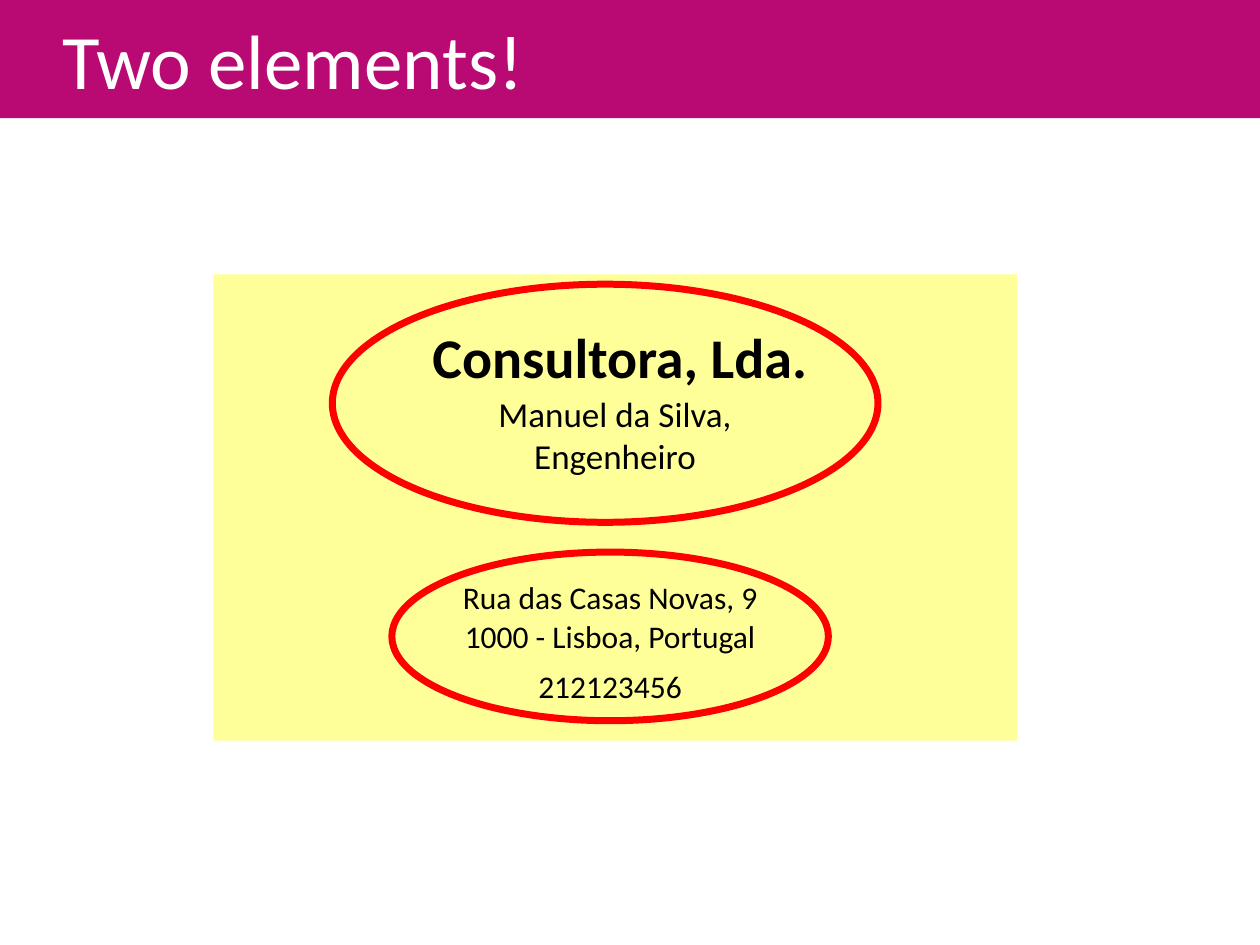
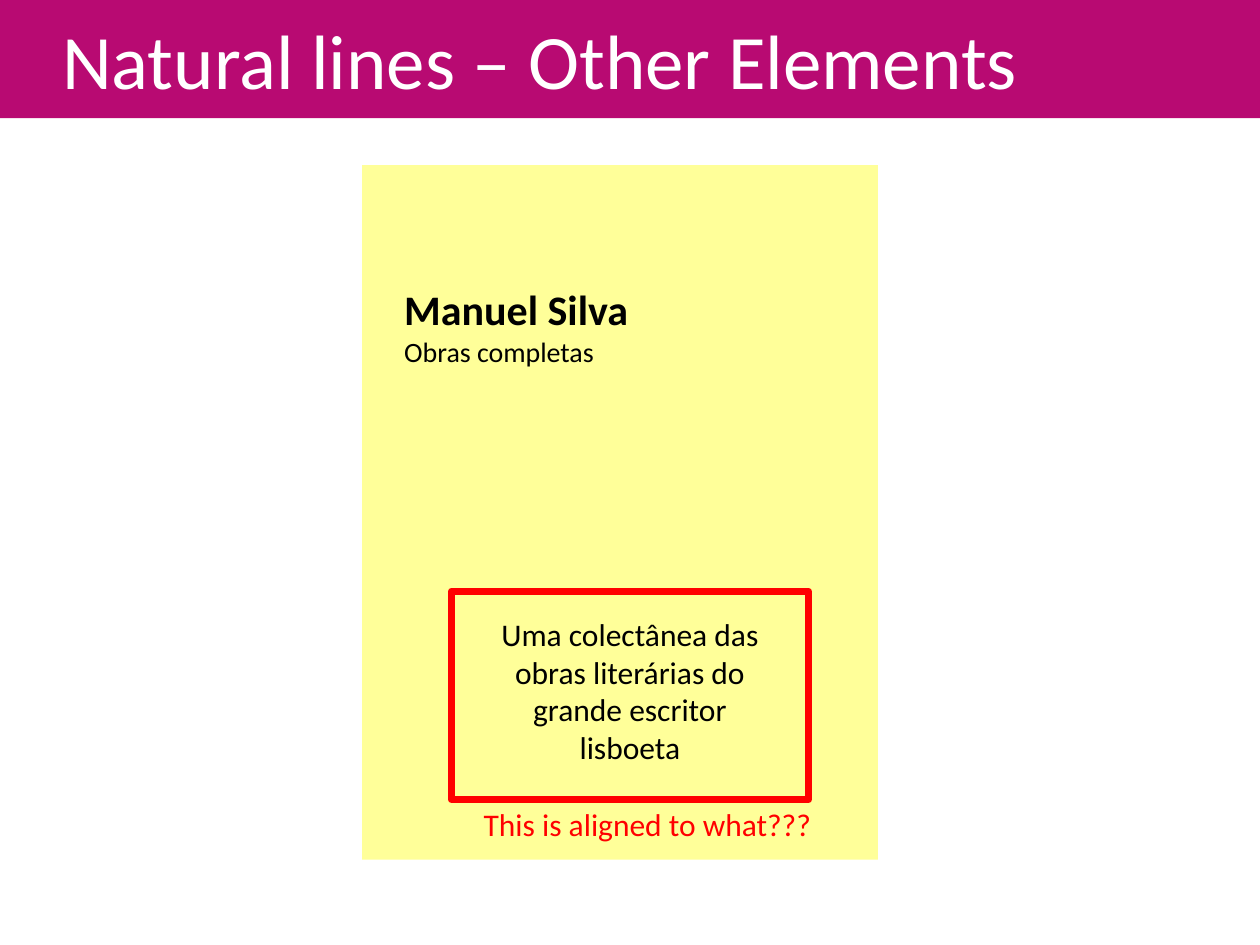
from dataclasses import dataclass

from pptx import Presentation
from pptx.dml.color import RGBColor
from pptx.enum.shapes import MSO_SHAPE
from pptx.enum.text import MSO_ANCHOR, MSO_AUTO_SIZE, PP_ALIGN
from pptx.util import Cm, Pt

RECT, OVAL = MSO_SHAPE.RECTANGLE, MSO_SHAPE.OVAL
LEFT, CENTER = PP_ALIGN.LEFT, PP_ALIGN.CENTER
MIDDLE, NO_FIT = MSO_ANCHOR.MIDDLE, MSO_AUTO_SIZE.NONE

MAGENTA, YELLOW, RED = "B80A72", "FFFF99", "FF0000"
WHITE, BLACK = "FFFFFF", "000000"
FONT = "Calibri"
TITLE_ONLY = 5
SLIDE_W, SLIDE_H, BAND_H = 25.4, 19.05, 2.38


@dataclass(frozen=True)
class Box:
    left: float
    top: float
    width: float
    height: float

    def lengths(self) -> tuple:
        return Cm(self.left), Cm(self.top), Cm(self.width), Cm(self.height)


@dataclass(frozen=True)
class Line:
    text: str
    size: int = 18
    bold: bool = False
    color: str = BLACK


@dataclass(frozen=True)
class Label:
    box: Box
    lines: tuple[Line, ...]
    align: int = CENTER


@dataclass(frozen=True)
class Mark:
    box: Box
    kind: int


@dataclass(frozen=True)
class Page:
    title: str
    card: Box
    labels: tuple[Label, ...]
    marks: tuple[Mark, ...]


def rgb(value: str) -> RGBColor:
    return RGBColor.from_string(value)


def write_line(p, line: Line, align: int) -> None:
    p.alignment = align
    p.space_before = Pt(0)
    r = p.add_run()
    r.text = line.text
    font = {"name": FONT, "size": Pt(line.size), "bold": line.bold}
    for name, value in font.items():
        setattr(r.font, name, value)
    r.font.color.rgb = rgb(line.color)


def add_title(s, text: str) -> None:
    sp = s.shapes.title
    sp.left, sp.top, sp.width, sp.height = Box(0, 0, SLIDE_W, BAND_H).lengths()
    sp.fill.solid()
    sp.fill.fore_color.rgb = rgb(MAGENTA)
    tf = sp.text_frame
    frame = {"auto_size": NO_FIT, "word_wrap": True,
             "vertical_anchor": MIDDLE, "margin_left": Cm(1.25)}
    for name, value in frame.items():
        setattr(tf, name, value)
    write_line(tf.paragraphs[0], Line(text, 44, color=WHITE), LEFT)


def add_card(s, box: Box) -> None:
    sp = s.shapes.add_shape(RECT, *box.lengths())
    sp.shadow.inherit = False
    sp.fill.solid()
    sp.fill.fore_color.rgb = rgb(YELLOW)
    sp.line.fill.background()


def add_label(s, label: Label) -> None:
    tf = s.shapes.add_textbox(*label.box.lengths()).text_frame
    tf.word_wrap = True
    for i, line in enumerate(label.lines):
        p = tf.add_paragraph() if i else tf.paragraphs[0]
        write_line(p, line, label.align)


def add_mark(s, mark: Mark) -> None:
    """Draw a red outline around an element of the card."""
    sp = s.shapes.add_shape(mark.kind, *mark.box.lengths())
    sp.shadow.inherit = False
    sp.fill.background()
    sp.line.color.rgb = rgb(RED)
    sp.line.width = Pt(4)


def add_page(prs, page: Page) -> None:
    s = prs.slides.add_slide(prs.slide_layouts[TITLE_ONLY])
    add_title(s, page.title)
    add_card(s, page.card)
    for label in page.labels:
        add_label(s, label)
    for mark in page.marks:
        add_mark(s, mark)


CONTACTS = (
    (11.53, "Rua das Casas Novas, 9"),
    (12.32, "1000 - Lisboa, Portugal"),
    (13.33, "212123456"),
)

BUSINESS_CARD = Page(
    "Two elements!",
    Box(4.3, 5.53, 16.2, 9.4),
    (
        Label(Box(7.5, 6.38, 10, 1.6), (Line("Consultora, Lda.", 32, True),)),
        Label(Box(8.1, 7.78, 8.6, 1.95),
              (Line("Manuel da Silva,", 20), Line("Engenheiro", 20))),
        *(Label(Box(4.3, top, 16, 1.02), (Line(text),))
          for top, text in CONTACTS),
    ),
    (
        Mark(Box(6.7, 5.73, 11, 4.8), OVAL),
        Mark(Box(7.9, 11.13, 8.8, 3.4), OVAL),
    ),
)

BOOK_COVER = Page(
    "Natural lines – Other Elements",
    Box(7.3, 3.33, 10.4, 14),
    (
        Label(Box(7.9, 5.6, 10.2, 2.1),
              (Line("Manuel Silva", 24, True), Line("Obras completas", 16)),
              LEFT),
        Label(Box(9.5, 12.27, 6.4, 4.45),
              (Line("Uma colectânea das obras literárias do grande escritor "
                    "lisboeta"),)),
        Label(Box(9.5, 16.1, 8.8, 1.02),
              (Line("This is aligned to what???", color=RED),), LEFT),
    ),
    (Mark(Box(9.1, 11.92, 7.2, 4.2), RECT),),
)


def main() -> None:
    prs = Presentation()
    prs.slide_width, prs.slide_height = Cm(SLIDE_W), Cm(SLIDE_H)
    for page in (BUSINESS_CARD, BOOK_COVER):
        add_page(prs, page)
    prs.save("out.pptx")


if __name__ == "__main__":
    main()
